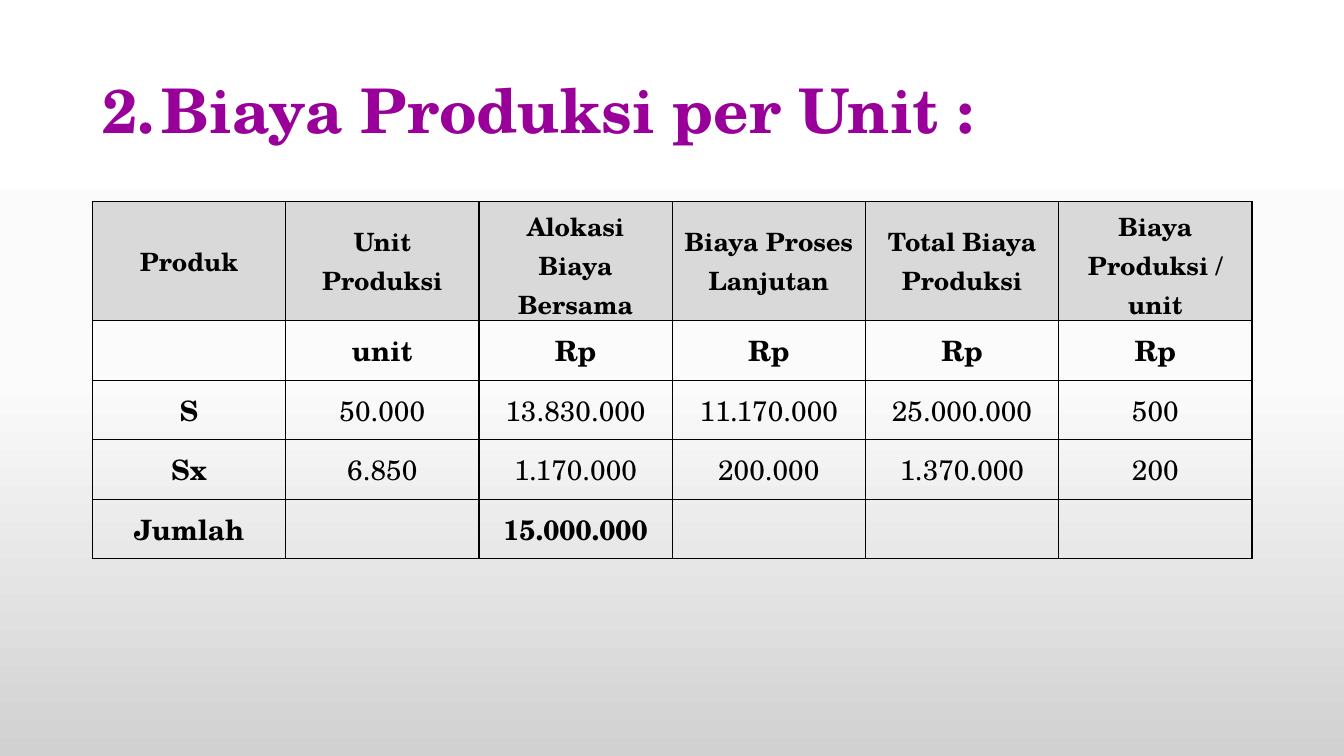
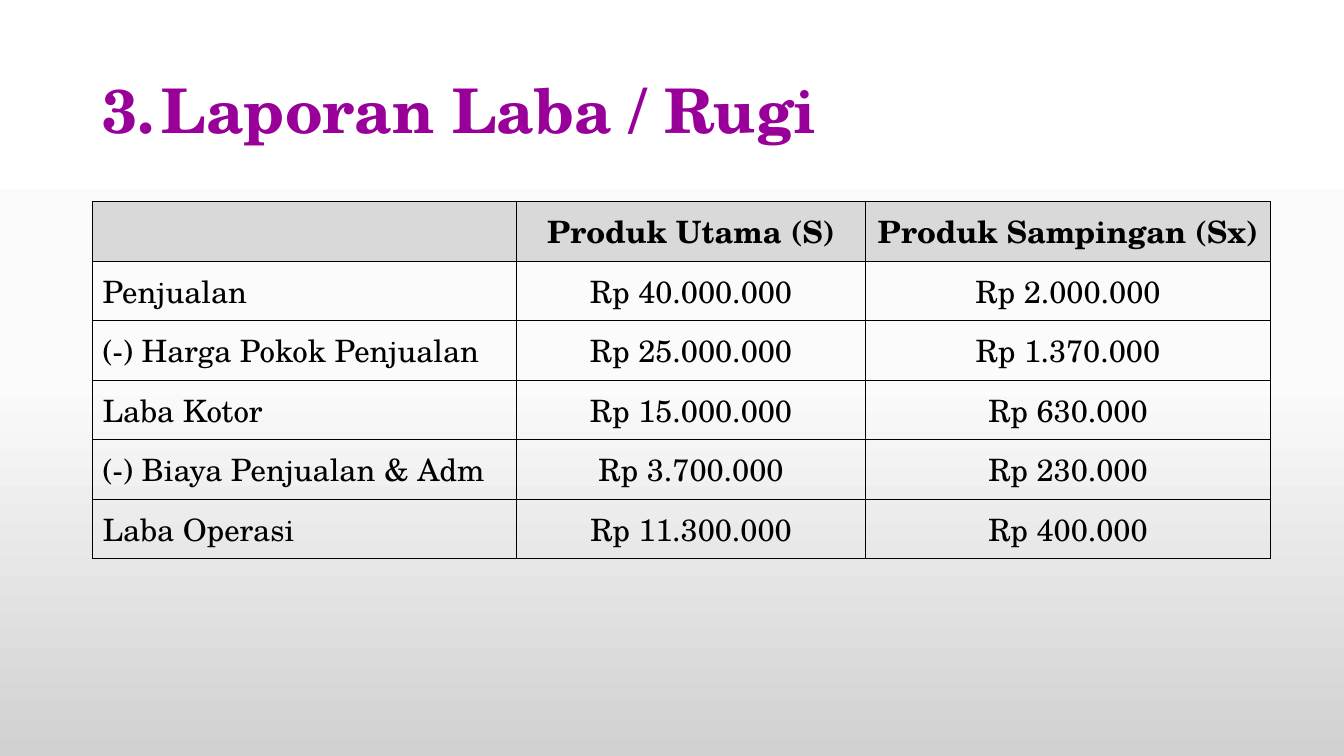
from dataclasses import dataclass

from lxml.etree import SubElement
from pptx import Presentation
from pptx.dml.color import RGBColor
from pptx.enum.text import MSO_ANCHOR, PP_ALIGN
from pptx.oxml.ns import qn
from pptx.slide import Slide, SlideMaster
from pptx.table import _Cell
from pptx.text.text import Font
from pptx.util import Cm, Pt

FONT = "TeX Gyre Schola"
PURPLE, BLACK, GREY = "990099", "000000", "D9D9D9"
BACKGROUND = ((0, "FFFFFF"), (50, "FBFBFB"), (100, "D1D1D1"))
LEFT = Cm(2.33)
ROW_HEIGHT = 1.5


@dataclass(frozen=True)
class TableSlide:
    number: int
    title: str
    rows: list[list[str]]
    col_widths: list[float]
    header_height: float
    header_size: int
    body_size: int
    bold_rows: set[int]
    bold_labels: bool
    label_align: PP_ALIGN


SLIDES = [
    TableSlide(
        number=2,
        title="Biaya Produksi per Unit :",
        rows=[
            ["Produk", "Unit Produksi", "Alokasi Biaya Bersama",
             "Biaya Proses Lanjutan", "Total Biaya Produksi", "Biaya Produksi / unit"],
            ["", "unit", "Rp", "Rp", "Rp", "Rp"],
            ["S", "50.000", "13.830.000", "11.170.000", "25.000.000", "500"],
            ["Sx", "6.850", "1.170.000", "200.000", "1.370.000", "200"],
            ["Jumlah", "", "15.000.000", "", "", ""],
        ],
        col_widths=[4.87] * 6,
        header_height=2 * ROW_HEIGHT,
        header_size=18,
        body_size=20,
        bold_rows={0, 1, 4},
        bold_labels=True,
        label_align=PP_ALIGN.CENTER,
    ),
    TableSlide(
        number=3,
        title="Laporan Laba / Rugi",
        rows=[
            ["", "Produk Utama (S)", "Produk Sampingan (Sx)"],
            ["Penjualan", "Rp 40.000.000", "Rp 2.000.000"],
            ["(-) Harga Pokok Penjualan", "Rp 25.000.000", "Rp 1.370.000"],
            ["Laba Kotor", "Rp 15.000.000", "Rp 630.000"],
            ["(-) Biaya Penjualan & Adm", "Rp 3.700.000", "Rp 230.000"],
            ["Laba Operasi", "Rp 11.300.000", "Rp 400.000"],
        ],
        col_widths=[10.69, 8.79, 10.21],
        header_height=ROW_HEIGHT,
        header_size=22,
        body_size=22,
        bold_rows={0},
        bold_labels=False,
        label_align=PP_ALIGN.LEFT,
    ),
]


def rgb(color: str) -> RGBColor:
    return RGBColor.from_string(color)


def style_font(font: Font, size: int, color: str, bold: bool) -> None:
    font.name = FONT
    font.size = Pt(size)
    font.bold = bold
    font.color.rgb = rgb(color)


def set_background(master: SlideMaster) -> None:
    fill = master.background.fill
    fill.gradient()
    fill.gradient_angle = 270
    stops = master.element.find(".//" + qn("p:bg")).find(".//" + qn("a:gsLst"))
    for stop in list(stops):
        stops.remove(stop)
    for position, color in BACKGROUND:
        stop = SubElement(stops, qn("a:gs"), pos=str(position * 1000))
        SubElement(stop, qn("a:srgbClr"), val=color)


def add_title(s: Slide, number: int, text: str) -> None:
    tf = s.shapes.add_textbox(LEFT, Cm(1.01), Cm(29.21), Cm(3.68)).text_frame
    tf.word_wrap = True
    tf.vertical_anchor = MSO_ANCHOR.MIDDLE
    p = tf.paragraphs[0]
    p.text = text
    p.line_spacing = 0.9
    pPr = p._p.get_or_add_pPr()
    pPr.set("marL", str(Cm(1.5)))
    pPr.set("indent", str(-Cm(1.5)))
    SubElement(pPr, qn("a:buFont"), typeface="+mj-lt")
    SubElement(pPr, qn("a:buAutoNum"), type="arabicPeriod", startAt=str(number))
    style_font(p.runs[0].font, 44, PURPLE, True)


def add_borders(cell: _Cell) -> None:
    tcPr = cell._tc.get_or_add_tcPr()
    for side in ("lnL", "lnR", "lnT", "lnB"):
        line = SubElement(tcPr, qn(f"a:{side}"), w=str(Pt(1)))
        fill = SubElement(line, qn("a:solidFill"))
        SubElement(fill, qn("a:srgbClr"), val=BLACK)


def fill_cell(cell: _Cell, data: TableSlide, row: int, col: int) -> None:
    header, label = row == 0, col == 0
    add_borders(cell)
    if header:
        cell.fill.solid()
        cell.fill.fore_color.rgb = rgb(GREY)
    else:
        cell.fill.background()
    cell.vertical_anchor = MSO_ANCHOR.MIDDLE
    cell.text_frame.text = data.rows[row][col]
    p = cell.text_frame.paragraphs[0]
    p.alignment = data.label_align if label else PP_ALIGN.CENTER
    bold = row in data.bold_rows or (label and data.bold_labels)
    for r in p.runs:
        style_font(r.font, data.header_size if header else data.body_size, BLACK, bold)


def add_data_table(s: Slide, data: TableSlide) -> None:
    heights = [data.header_height] + [ROW_HEIGHT] * (len(data.rows) - 1)
    table = s.shapes.add_table(
        len(heights), len(data.col_widths), LEFT, Cm(5.08),
        Cm(sum(data.col_widths)), Cm(sum(heights)),
    ).table
    table.first_row = table.horz_banding = False
    for column, width in zip(table.columns, data.col_widths):
        column.width = Cm(width)
    for row, height in enumerate(heights):
        table.rows[row].height = Cm(height)
        for col in range(len(data.col_widths)):
            fill_cell(table.cell(row, col), data, row, col)


def main() -> None:
    prs = Presentation()
    prs.slide_width, prs.slide_height = Cm(33.87), Cm(19.05)
    set_background(prs.slide_master)
    for data in SLIDES:
        s = prs.slides.add_slide(prs.slide_layouts[6])
        add_title(s, data.number, data.title)
        add_data_table(s, data)
    prs.save("out.pptx")


if __name__ == "__main__":
    main()
